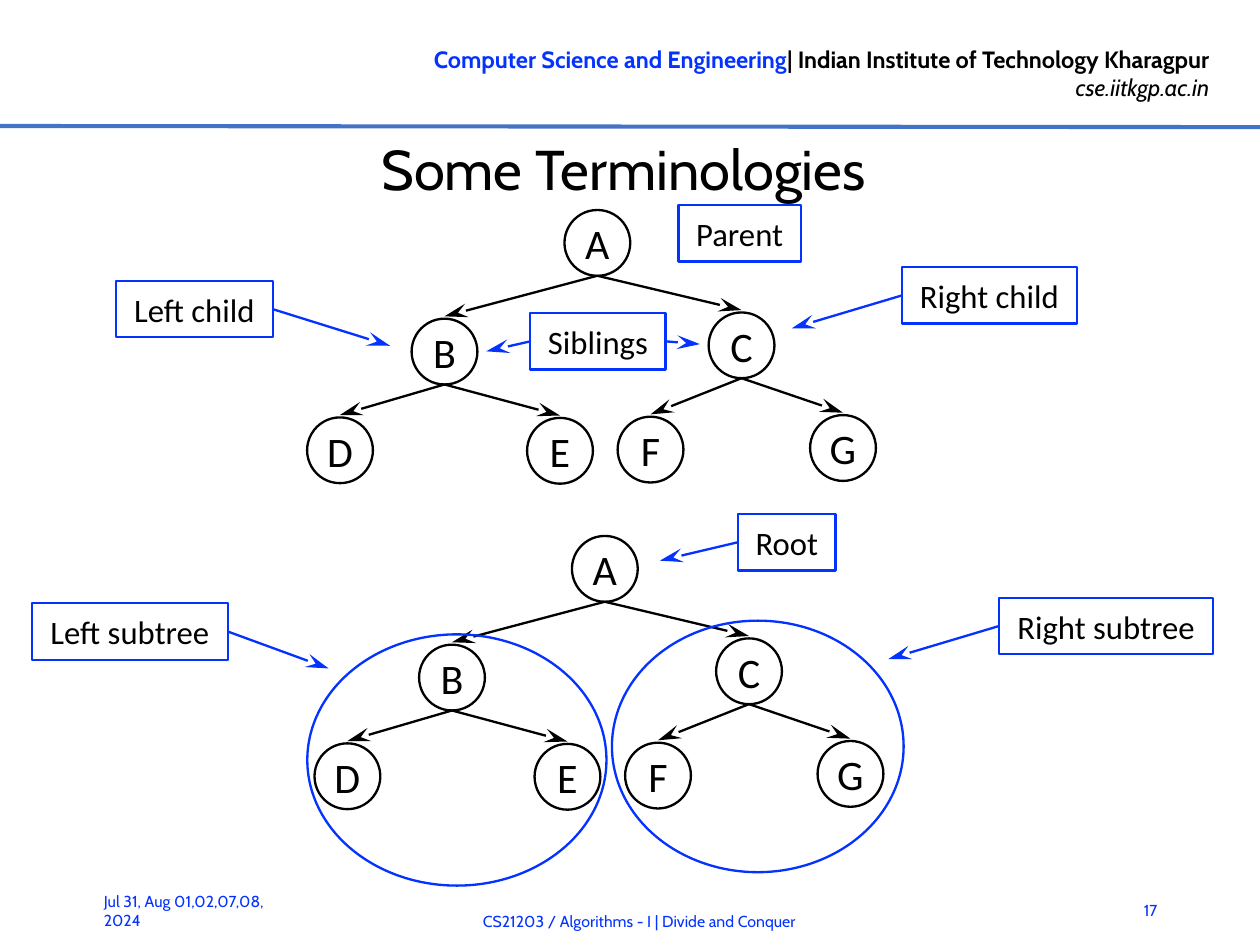
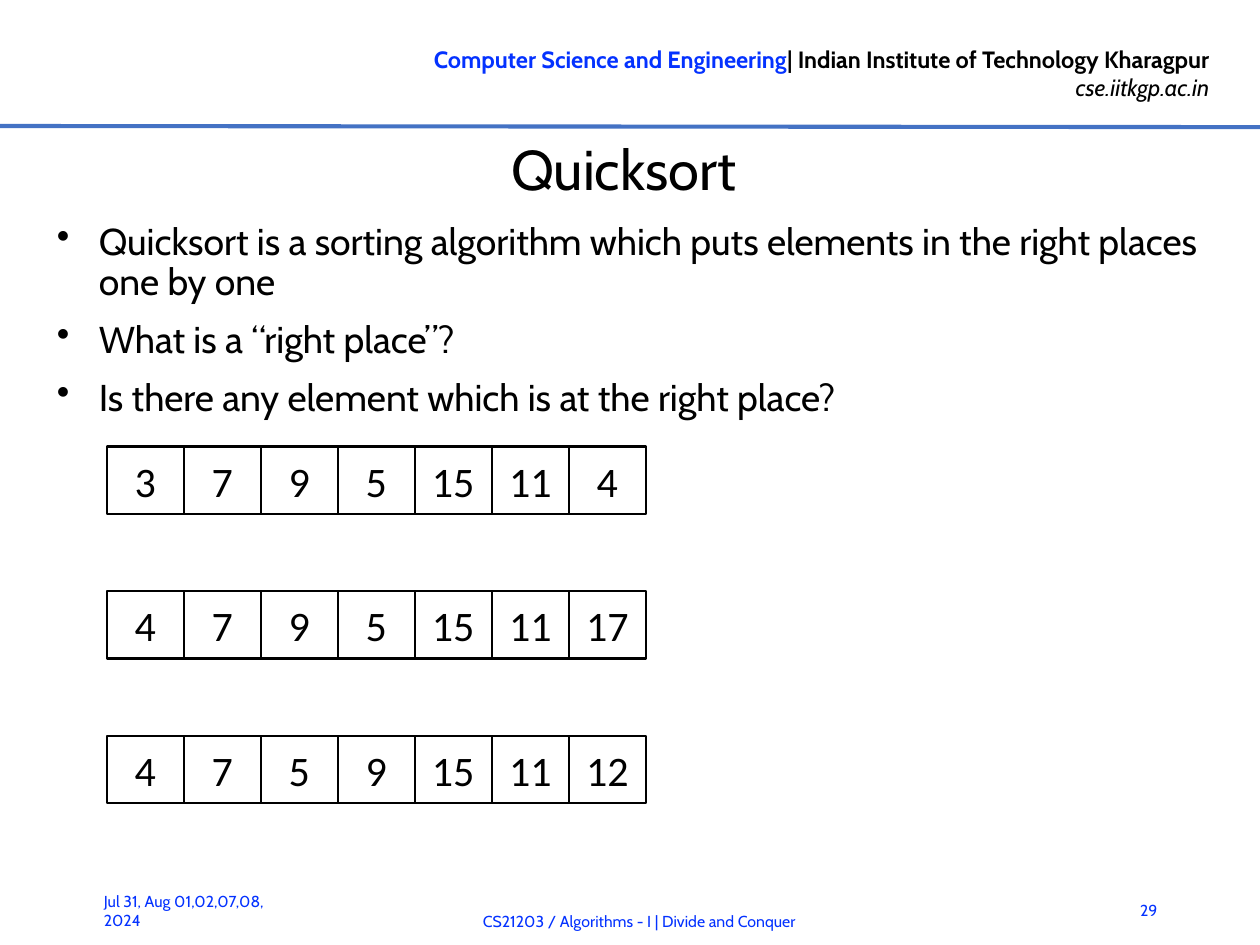
from lxml import etree
from pptx import Presentation
from pptx.dml.color import RGBColor
from pptx.enum.shapes import MSO_CONNECTOR, MSO_SHAPE
from pptx.enum.text import MSO_ANCHOR, MSO_AUTO_SIZE, PP_ALIGN
from pptx.oxml.ns import qn
from pptx.util import Pt

LEFT, CENTER, RIGHT = PP_ALIGN.LEFT, PP_ALIGN.CENTER, PP_ALIGN.RIGHT
TOP, MIDDLE = MSO_ANCHOR.TOP, MSO_ANCHOR.MIDDLE
STRAIGHT = MSO_CONNECTOR.STRAIGHT
RECTANGLE, OVAL = MSO_SHAPE.RECTANGLE, MSO_SHAPE.OVAL
BLUE = RGBColor(0x04, 0x32, 0xFF)
RULE_BLUE = RGBColor(0x44, 0x72, 0xC4)
BLACK = RGBColor(0, 0, 0)
HEAD_FONT, DIAGRAM_FONT = "Cabin", "Calibri"
SLIDE_W, SLIDE_H = 540, 405

HEADER = [
    [("Computer Science and Engineering", {"bold": True, "color": BLUE}),
     ("| Indian Institute of Technology Kharagpur", {"bold": True})],
    [("cse.iitkgp.ac.in", {"italic": True})],
]
DATE = "Jul 31, Aug 01,02,07,08, 2024"
COURSE = "CS21203 / Algorithms - I | Divide and Conquer"

NODES = {
    "A": (241.9, 90), "B": (176.4, 136.6), "C": (303.7, 133.9),
    "D": (131.6, 178.9), "E": (225.9, 179.1), "F": (264.7, 178.6), "G": (347.2, 177.9),
}
EDGES = ["AB", "AC", "BD", "BE", "CF", "CG"]
TREE_SHIFTS = [(0, 0), (3.2, 139.7)]
NODE_SIZE = 28.2
EDGE_GAP = 1

LABEL_H = 24.2
LABELS = [
    ("Parent", 290.8, 88, 52.4, []),
    ("Siblings", 227.3, 134.2, 58, [(208.4, 150.6), (300, 147.5)]),
    ("Right child", 386.6, 114.5, 75, [(339.4, 140.7)]),
    ("Left child", 49.7, 120.4, 67.2, [(167.2, 148.2)]),
    ("Root", 316.3, 220.3, 41.9, [(282.8, 240.3)]),
    ("Right subtree", 428.2, 256.2, 91.7, [(380.7, 282.5)]),
    ("Left subtree", 13.7, 258.6, 84, [(140.9, 286.5)]),
]
SUBTREES = [(262.3, 266, 125, 107.8), (131.7, 271.9, 128.2, 107.7)]

POINTS = [
    "Quicksort is a sorting algorithm which puts elements in the right places one by one",
    "What is a “right place”?",
    "Is there any element which is at the right place?",
]
ARRAYS = [
    [3, 7, 9, 5, 15, 11, 4],
    [4, 7, 9, 5, 15, 11, 17],
    [4, 7, 5, 9, 15, 11, 12],
]
ARRAY_LEFT, ARRAY_TOP, ARRAY_STEP = 45.8, 191.3, 62
CELL_W, CELL_H = 33, 29


def write(frame, text, size=18, font=DIAGRAM_FONT, color=BLACK, align=LEFT,
          anchor=TOP, insets=(7.2, 3.6), wrap=True, bullet=None, spacing=None, before=0):
    frame.word_wrap = wrap
    frame.auto_size = MSO_AUTO_SIZE.NONE
    frame.vertical_anchor = anchor
    frame.margin_left = frame.margin_right = Pt(insets[0])
    frame.margin_top = frame.margin_bottom = Pt(insets[1])
    paragraphs = [[(text, {})]] if isinstance(text, str) else text
    for index, runs in enumerate(paragraphs):
        paragraph = frame.add_paragraph() if index else frame.paragraphs[0]
        paragraph.alignment = align
        if spacing:
            paragraph.line_spacing = Pt(spacing)
        if index and before:
            paragraph.space_before = Pt(before)
        if bullet:
            properties = paragraph._p.get_or_add_pPr()
            properties.set("marL", str(Pt(18)))
            properties.set("indent", str(-Pt(18)))
            etree.SubElement(properties, qn("a:buChar"), char=bullet)
        for words, style in runs:
            run = paragraph.add_run()
            run.text = words
            run.font.name = font
            run.font.size = Pt(size)
            run.font.bold = style.get("bold", False)
            run.font.italic = style.get("italic", False)
            run.font.color.rgb = style.get("color", color)


def add_text(slide, box, text, **style):
    write(slide.shapes.add_textbox(*map(Pt, box)).text_frame, text, **style)


def add_outline(slide, kind, box, color, text=None, **style):
    outline = slide.shapes.add_shape(kind, *map(Pt, box))
    outline.shadow.inherit = False
    outline.fill.background()
    outline.line.color.rgb = color
    outline.line.width = Pt(1)
    if text:
        write(outline.text_frame, text, align=CENTER, anchor=MIDDLE, insets=(0, 0), **style)


def add_line(slide, start, end, color, width=1, arrow=True):
    line = slide.shapes.add_connector(STRAIGHT, *map(Pt, (*start, *end)))
    line.line.color.rgb = color
    line.line.width = Pt(width)
    if arrow:
        etree.SubElement(line.line._get_or_add_ln(), qn("a:tailEnd"),
                         type="stealth", w="med", len="lg")
    etree.SubElement(line._element.spPr, qn("a:effectLst"))


def add_slide(deck, title, number):
    slide = deck.slides.add_slide(deck.slide_layouts[5])
    heading = slide.shapes.title
    heading.left, heading.top, heading.width, heading.height = map(Pt, (17.3, 57.2, 500, 29.5))
    write(heading.text_frame, title, size=24, font=HEAD_FONT, align=CENTER,
          anchor=MIDDLE, insets=(0, 0))
    add_text(slide, (137.5, 15.8, 388, 32), HEADER, size=10.1, font=HEAD_FONT, align=RIGHT)
    add_line(slide, (0, 54), (SLIDE_W, 54.5), RULE_BLUE, width=1.75, arrow=False)
    footers = [
        ((37.4, 379.5, 94.3, 21.6), DATE, LEFT),
        ((113.8, 383.8, 320.4, 21.6), COURSE, CENTER),
        ((476.6, 379.5, 26.6, 21.6), str(number), RIGHT),
    ]
    for box, text, align in footers:
        add_text(slide, box, text, size=6.8, font=HEAD_FONT, color=BLUE,
                 align=align, anchor=MIDDLE)
    return slide


def add_tree(slide, shift):
    corners = {name: (x + shift[0], y + shift[1]) for name, (x, y) in NODES.items()}
    radius = NODE_SIZE / 2
    for name, corner in corners.items():
        add_outline(slide, OVAL, (*corner, NODE_SIZE, NODE_SIZE), BLACK, name, wrap=False)
    for parent, child in EDGES:
        (px, py), (cx, cy) = corners[parent], corners[child]
        add_line(slide, (px + radius, py + NODE_SIZE), (cx + radius, cy - EDGE_GAP), BLACK)


def add_label(slide, text, left, top, width, tips):
    add_outline(slide, RECTANGLE, (left, top, width, LABEL_H), BLUE, text, size=14, wrap=False)
    for tip in tips:
        edge = left if tip[0] < left else left + width
        add_line(slide, (edge, top + LABEL_H / 2), tip, BLUE)


def build_terminologies(deck):
    slide = add_slide(deck, "Some Terminologies", 17)
    for shift in TREE_SHIFTS:
        add_tree(slide, shift)
    for label in LABELS:
        add_label(slide, *label)
    for subtree in SUBTREES:
        add_outline(slide, OVAL, subtree, BLUE)


def build_quicksort(deck):
    slide = add_slide(deck, "Quicksort", 29)
    add_text(slide, (17.3, 92.2, 506, 95), [[(point, {})] for point in POINTS], size=16,
             font=HEAD_FONT, bullet="•", spacing=17, before=8)
    for row, values in enumerate(ARRAYS):
        for column, value in enumerate(values):
            cell = (ARRAY_LEFT + column * CELL_W, ARRAY_TOP + row * ARRAY_STEP, CELL_W, CELL_H)
            add_outline(slide, RECTANGLE, cell, BLACK, str(value))


def main():
    deck = Presentation()
    deck.slide_width, deck.slide_height = Pt(SLIDE_W), Pt(SLIDE_H)
    build_terminologies(deck)
    build_quicksort(deck)
    deck.save("out.pptx")


if __name__ == "__main__":
    main()
